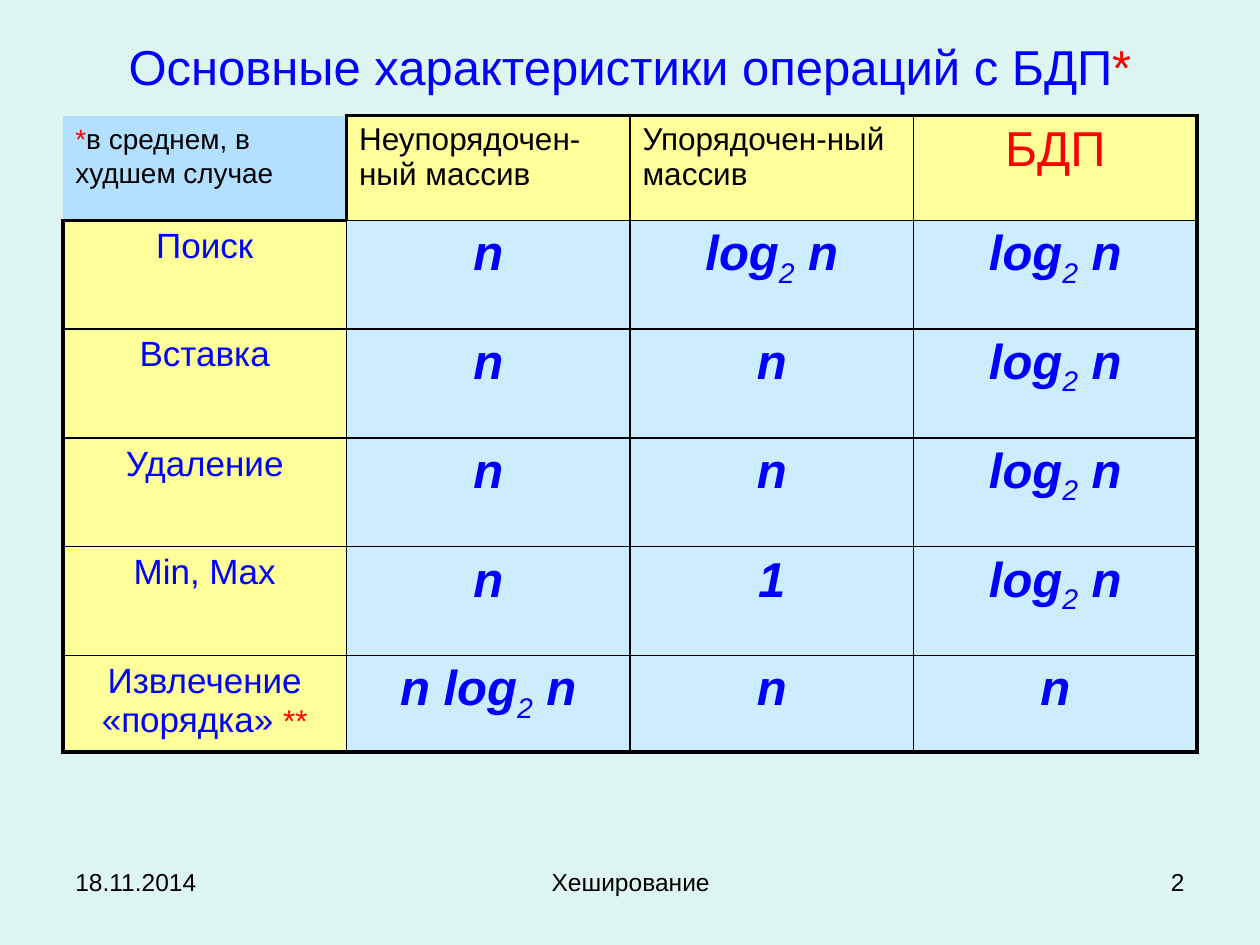
"""Build a slide comparing the cost of operations on arrays and search trees."""
from lxml.etree import SubElement
from pptx import Presentation
from pptx.dml.color import RGBColor
from pptx.enum.text import MSO_ANCHOR, PP_ALIGN
from pptx.oxml.ns import qn
from pptx.util import Cm, Pt

BLACK, BLUE, RED = "000000", "0000FF", "FF0000"
BACKGROUND, YELLOW, PALE_BLUE, CORNER_BLUE = "DEF6F1", "FFFF99", "CCECFF", "B3E0FF"
LEFT, CENTER, RIGHT = PP_ALIGN.LEFT, PP_ALIGN.CENTER, PP_ALIGN.RIGHT
THIN, THICK = 1, 2.25

TITLE = [("Основные характеристики операций с БДП", BLUE), ("*", RED)]
NOTE = [("*", RED), ("в среднем, в худшем случае", BLACK)]
HEADERS = [
    ("Неупорядочен-ный массив", 18, BLACK, LEFT),
    ("Упорядочен-ный массив", 18, BLACK, LEFT),
    ("БДП", 28, RED, CENTER),
]
OPERATIONS = [
    ("Поиск", "n", "log|2| n", "log|2| n"),
    ("Вставка", "n", "n", "log|2| n"),
    ("Удаление", "n", "n", "log|2| n"),
    ("Min, Max", "n", "1", "log|2| n"),
    ("Извлечение «порядка» ", "n log|2| n", "n", "n"),
]
FOOTNOTE_MARK = "**"
FOOTERS = [
    ("18.11.2014", 1.27, 5.92, LEFT),
    ("Хеширование", 8.69, 8.05, CENTER),
    ("2", 18.21, 5.92, RIGHT),
]
COLUMN_WIDTH = 5.715
ROW_HEIGHTS = [2.11, 2.19, 2.2, 2.19, 2.19, 1.95]
LAST_ROW, LAST_COLUMN = len(ROW_HEIGHTS) - 1, len(HEADERS)


def color(value):
    return RGBColor.from_string(value)


def format_paragraph(paragraph, size, alignment=LEFT, ink=BLACK):
    paragraph.alignment = alignment
    paragraph.font.name = "Arial"
    paragraph.font.size = Pt(size)
    paragraph.font.color.rgb = color(ink)


def add_span(paragraph, text, ink=None):
    span = paragraph.add_run()
    span.text = text
    if ink:
        span.font.color.rgb = color(ink)
    return span


def add_formula(paragraph, formula):
    format_paragraph(paragraph, 28, CENTER, BLUE)
    paragraph.font.italic = True
    for index, part in enumerate(formula.split("|")):
        span = add_span(paragraph, part)
        span.font.bold = index % 2 == 0
        if index % 2:
            span.font._element.set("baseline", "-25000")


def add_text_box(page, left, top, width, height):
    box = page.shapes.add_textbox(Cm(left), Cm(top), Cm(width), Cm(height))
    box.text_frame.word_wrap = True
    return box.text_frame.paragraphs[0]


def set_borders(cell, row, column):
    corner = (row, column) == (0, 0)
    heavy = {
        "L": column == 0 or (row, column) == (0, 1),
        "R": column == LAST_COLUMN or corner,
        "T": row == 0 or (row, column) == (1, 0),
        "B": row == LAST_ROW or corner,
    }
    properties = cell._tc.get_or_add_tcPr()
    for side, thick in heavy.items():
        line = SubElement(properties, qn(f"a:ln{side}"), w=str(Pt(THICK if thick else THIN)))
        if corner and side in "LT":
            SubElement(line, qn("a:noFill"))
        else:
            fill = SubElement(line, qn("a:solidFill"))
            SubElement(fill, qn("a:srgbClr"), val=BLACK)


def cell_fill(row, column):
    if row and column:
        return PALE_BLUE
    return YELLOW if row or column else CORNER_BLUE


def fill_text(paragraph, row, column):
    if row and column:
        add_formula(paragraph, OPERATIONS[row - 1][column])
    elif row:
        format_paragraph(paragraph, 20, CENTER, BLUE)
        add_span(paragraph, OPERATIONS[row - 1][0])
        if row == LAST_ROW:
            add_span(paragraph, FOOTNOTE_MARK, RED).font.size = Pt(18)
    elif column:
        text, size, ink, alignment = HEADERS[column - 1]
        format_paragraph(paragraph, size, alignment, ink)
        add_span(paragraph, text)


def add_cost_table(page):
    columns = LAST_COLUMN + 1
    frame = page.shapes.add_table(
        len(ROW_HEIGHTS), columns, Cm(1.27), Cm(2.33),
        Cm(COLUMN_WIDTH * columns), Cm(sum(ROW_HEIGHTS)))
    table = frame.table
    table.first_row = table.horz_banding = False
    for row, height in enumerate(ROW_HEIGHTS):
        table.rows[row].height = Cm(height)
        for column in range(columns):
            cell = table.cell(row, column)
            set_borders(cell, row, column)
            cell.fill.solid()
            cell.fill.fore_color.rgb = color(cell_fill(row, column))
            fill_text(cell.text_frame.paragraphs[0], row, column)


deck = Presentation()
deck.slide_width, deck.slide_height = Cm(25.4), Cm(19.05)
page = deck.slides.add_slide(deck.slide_layouts[5])
page.background.fill.solid()
page.background.fill.fore_color.rgb = color(BACKGROUND)

title = page.shapes.title
title.left, title.top, title.width, title.height = Cm(1.27), Cm(0.43), Cm(22.86), Cm(1.78)
title.text_frame.vertical_anchor = MSO_ANCHOR.MIDDLE
heading = title.text_frame.paragraphs[0]
format_paragraph(heading, 28, CENTER)
for text, ink in TITLE:
    add_span(heading, text, ink)

add_cost_table(page)

note = add_text_box(page, 1.27, 2.33, 5.5, 1.63)
format_paragraph(note, 16)
for text, ink in NOTE:
    add_span(note, text, ink)

for text, left, width, alignment in FOOTERS:
    footer = add_text_box(page, left, 17.35, width, 1.32)
    format_paragraph(footer, 14, alignment)
    add_span(footer, text)

deck.save("out.pptx")
